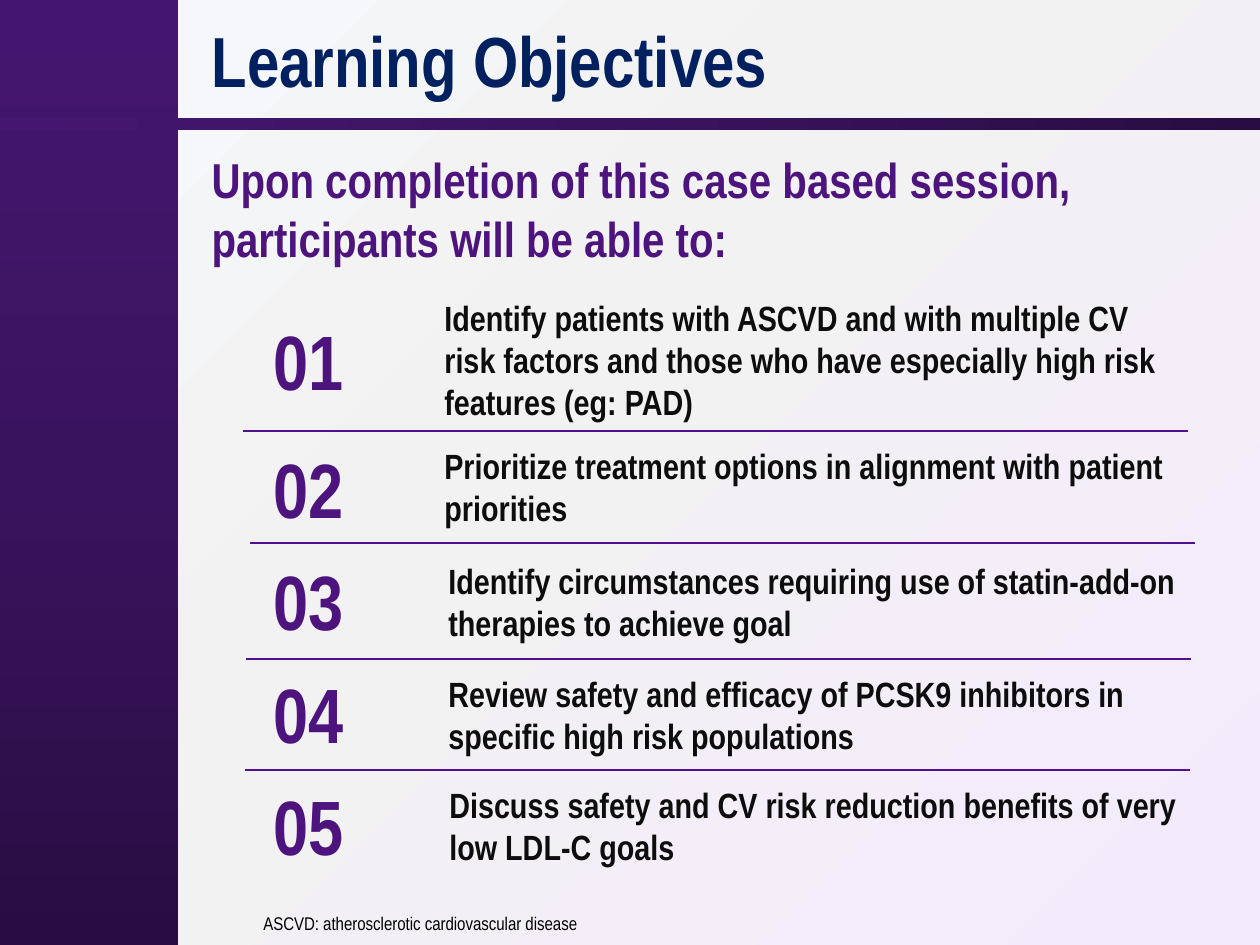
from copy import deepcopy
from typing import NamedTuple, Optional

from lxml import etree
from pptx import Presentation
from pptx.dml.color import RGBColor
from pptx.enum.shapes import MSO_CONNECTOR, MSO_SHAPE
from pptx.enum.text import MSO_ANCHOR, MSO_AUTO_SIZE, PP_ALIGN
from pptx.oxml.ns import qn
from pptx.util import Emu, Pt

RECTANGLE = MSO_SHAPE.RECTANGLE
STRAIGHT = MSO_CONNECTOR.STRAIGHT
TOP = MSO_ANCHOR.TOP
LEFT = PP_ALIGN.LEFT
NO_AUTOFIT = MSO_AUTO_SIZE.NONE

PX_PER_INCH = 126
FONT = "Arial Narrow"
COLORS = {
    "title": "002060",
    "accent": "4D147E",
    "body": "0D0D0D",
    "note": "000000",
    "rule": "51118E",
}
PURPLE_STOPS = [(0, "290D42"), (50, "3A135E"), (100, "451670")]
BACKGROUND_STOPS = [(0, "F6F8FC"), (43, "F2F2F2"), (100, "F3EAFC")]

NUMBER_LEFT, NUMBER_WIDTH, NUMBER_HEIGHT = 261, 97, 106
OBJECTIVE_WIDTH, RULE_WIDTH = 755, 945


class Box(NamedTuple):
    left: int
    top: int
    width: int
    height: int


class Rule(NamedTuple):
    left: int
    y: int


class Objective(NamedTuple):
    text: str
    left: int
    top: int
    height: int
    number_top: int
    rule: Optional[Rule]  # line below the objective


OBJECTIVES = [
    Objective("Identify patients with ASCVD and with multiple CV risk factors and "
              "those who have especially high risk features (eg: PAD)",
              432, 290, 140, 307, Rule(243, 431)),
    Objective("Prioritize treatment options in alignment with patient priorities",
              432, 438, 97, 435, Rule(250, 543)),
    Objective("Identify circumstances requiring use of statin-add-on therapies "
              "to achieve goal",
              436, 553, 97, 547, Rule(246, 659)),
    Objective("Review safety and efficacy of PCSK9 inhibitors in specific high "
              "risk populations",
              436, 666, 97, 660, Rule(245, 770)),
    Objective("Discuss safety and CV risk reduction benefits of very low LDL-C goals",
              437, 777, 97, 772, None),
]


def px(length: int) -> Emu:
    return Emu(round(length * 914400 / PX_PER_INCH))


def rgb(name: str) -> RGBColor:
    return RGBColor.from_string(COLORS[name])


def set_gradient(fill, owner, stops: list, angle: int) -> None:
    """Fill with colour stops; the angle runs counter-clockwise."""
    fill.gradient()
    fill.gradient_angle = angle
    stop_list = owner.find(".//" + qn("a:gsLst"))
    for stop in list(stop_list):
        stop_list.remove(stop)
    for percent, color in stops:
        stop = etree.SubElement(stop_list, qn("a:gs"), pos=str(percent * 1000))
        etree.SubElement(stop, qn("a:srgbClr"), val=color)


def add_band(slide, box: Box, angle: int) -> None:
    band = slide.shapes.add_shape(RECTANGLE, *map(px, box))
    band.shadow.inherit = False
    band.line.fill.background()
    set_gradient(band.fill, band._element.spPr, PURPLE_STOPS, angle)


def write(shape, text: str, size: float, color: str, bold: bool = True,
          wrap: bool = True) -> None:
    frame = shape.text_frame
    frame.text = text
    frame.word_wrap = wrap
    frame.auto_size = NO_AUTOFIT
    frame.vertical_anchor = TOP
    paragraph = frame.paragraphs[0]
    paragraph.alignment = LEFT
    paragraph.space_before = Pt(0)
    font = paragraph.runs[0].font
    font.name, font.size, font.bold = FONT, Pt(size), bold
    font.color.rgb = rgb(color)


def add_text(slide, box: Box, *args, **options) -> None:
    write(slide.shapes.add_textbox(*map(px, box)), *args, **options)


def place(placeholder, box: Box) -> None:
    placeholder.left, placeholder.top, placeholder.width, placeholder.height = map(px, box)


def remove_bullet(paragraph) -> None:
    properties = paragraph._p.get_or_add_pPr()
    properties.set("marL", "0")
    properties.set("indent", "0")
    etree.SubElement(properties, qn("a:buNone"))


def add_rule(slide, rule: Rule) -> None:
    line = slide.shapes.add_connector(
        STRAIGHT, px(rule.left), px(rule.y), px(rule.left + RULE_WIDTH), px(rule.y))
    line.line.color.rgb = rgb("rule")
    line.line.width = Pt(0.75)
    etree.SubElement(line._element.spPr, qn("a:effectLst"))


def add_objective(slide, number: int, objective: Objective) -> None:
    add_text(slide, Box(NUMBER_LEFT, objective.number_top, NUMBER_WIDTH, NUMBER_HEIGHT),
             f"{number:02d}", 44, "accent", wrap=False)
    add_text(slide, Box(objective.left, objective.top, OBJECTIVE_WIDTH, objective.height),
             objective.text, 20, "body")
    if objective.rule:
        add_rule(slide, objective.rule)


def main() -> None:
    presentation = Presentation()
    presentation.slide_width, presentation.slide_height = px(1260), px(945)
    slide = presentation.slides.add_slide(presentation.slide_layouts[1])
    set_gradient(slide.background.fill, slide._element, BACKGROUND_STOPS, 315)

    # Side panel and the band under the title
    add_band(slide, Box(-3, 0, 181, 945), 90)
    add_band(slide, Box(-3, 118, 1263, 12), 180)

    # Title and lead-in
    title, lead_in = slide.placeholders
    place(title, Box(199, 10, 1061, 98))
    write(title, "Learning Objectives", 40.5, "title")
    place(lead_in, Box(199, 143, 1014, 131))
    write(lead_in, "Upon completion of this case based session, "
                   "participants will be able to:", 28, "accent")
    remove_bullet(lead_in.text_frame.paragraphs[0])

    # Numbered objectives
    for number, objective in enumerate(OBJECTIVES, start=1):
        add_objective(slide, number, objective)

    # Abbreviation note
    add_text(slide, Box(251, 906, 692, 37),
             "ASCVD: atherosclerotic cardiovascular disease", 10.5, "note", bold=False)

    presentation.save("out.pptx")


if __name__ == "__main__":
    main()
